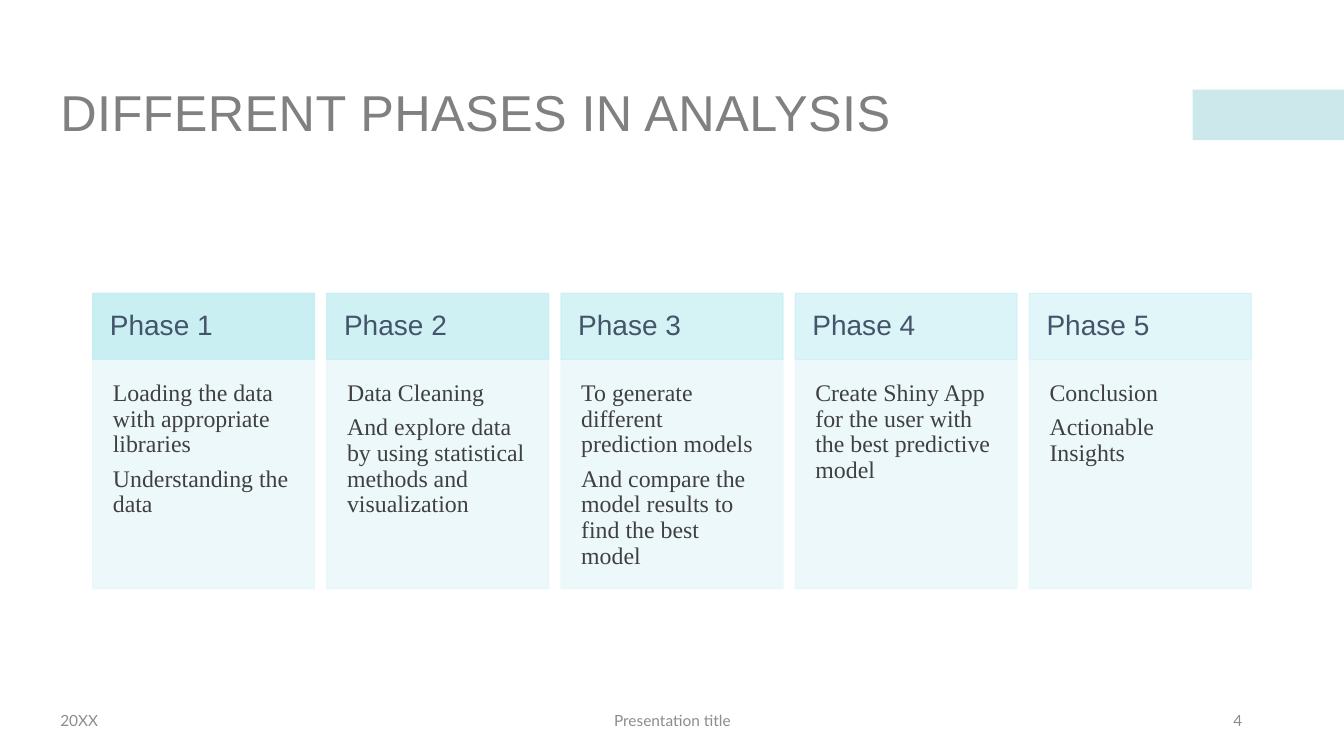
from dataclasses import dataclass

from lxml import etree
from pptx import Presentation
from pptx import util as u
from pptx.dml.color import RGBColor
from pptx.enum import shapes, text
from pptx.oxml.ns import qn

WIDTH, HEIGHT = 13.33, 7.5
GRID_LEFT, COL_PITCH, COL_WIDTH = 0.92, 2.3225, 2.2
HEAD_TOP, HEAD_HEIGHT = 2.91, 0.66
BODY_TOP, BODY_HEIGHT = 3.58, 2.26
FOOT_TOP, FOOT_HEIGHT = 6.95, 0.4
LEFT, CENTER, RIGHT = text.PP_ALIGN.LEFT, text.PP_ALIGN.CENTER, text.PP_ALIGN.RIGHT
TOP, MIDDLE = text.MSO_ANCHOR.TOP, text.MSO_ANCHOR.MIDDLE


@dataclass(frozen=True)
class Box:
    """A rectangle in inches."""
    left: float
    top: float
    width: float
    height: float


@dataclass(frozen=True)
class Style:
    """The look of a block of text."""
    font: str
    size: int
    color: str
    align: text.PP_ALIGN = LEFT
    anchor: text.MSO_ANCHOR = MIDDLE
    inset_x: float = 0.1
    inset_y: float = 0.05
    line: float = 1.0
    after: float = 0
    tracking: int = 0


@dataclass(frozen=True)
class Phase:
    """One column: its heading and its steps."""
    name: str
    steps: tuple[str, ...]


@dataclass(frozen=True)
class Footer:
    """One footer entry."""
    label: str
    left: float
    width: float
    align: text.PP_ALIGN


TITLE = Style("Arial", 36, "808080", line=0.9, tracking=30)
HEAD = Style("Arial", 20, "44546A", inset_x=0.17, inset_y=0.17, line=0.9, after=7)
BODY = Style("Times New Roman", 17, "404040", anchor=TOP,
             inset_x=0.2, inset_y=0.2, line=0.9, after=6)

PHASES = (
    Phase("Phase 1", ("Loading the data with appropriate libraries",
                      "Understanding the data")),
    Phase("Phase 2", ("Data Cleaning",
                      "And explore data by using statistical methods and visualization")),
    Phase("Phase 3", ("To generate different prediction models",
                      "And compare the model results to find the best model")),
    Phase("Phase 4", ("Create Shiny App for the user with the best predictive model",)),
    Phase("Phase 5", ("Conclusion", "Actionable Insights")),
)
FOOTERS = (
    Footer("20XX", 0.5, 3, LEFT),
    Footer("Presentation title", 4.42, 4.5, CENTER),
    Footer("4", 9.42, 3, RIGHT),
)


def rgb(value: str) -> RGBColor:
    """Turn a hex string into a colour."""
    return RGBColor.from_string(value)


def place(box: Box) -> tuple[u.Length, ...]:
    """Give a box as slide lengths."""
    return tuple(u.Inches(v) for v in (box.left, box.top, box.width, box.height))


def write(sp, lines: tuple[str, ...], style: Style) -> None:
    """Fill a shape with styled paragraphs."""
    tf = sp.text_frame
    frame = {
        "word_wrap": True,
        "vertical_anchor": style.anchor,
        "margin_left": u.Inches(style.inset_x),
        "margin_right": u.Inches(style.inset_x),
        "margin_top": u.Inches(style.inset_y),
        "margin_bottom": u.Inches(style.inset_y),
    }
    for name, value in frame.items():
        setattr(tf, name, value)
    for i, line in enumerate(lines):
        p = tf.add_paragraph() if i else tf.paragraphs[0]
        para = {"alignment": style.align, "line_spacing": style.line,
                "space_after": u.Pt(style.after)}
        for name, value in para.items():
            setattr(p, name, value)
        r = p.add_run()
        r.text = line
        for name, value in {"name": style.font, "size": u.Pt(style.size)}.items():
            setattr(r.font, name, value)
        r.font.color.rgb = rgb(style.color)
        if style.tracking:
            r.font._element.set("spc", str(style.tracking))


def add_text(s, box: Box, label: str, style: Style) -> None:
    """Add a one-paragraph text box."""
    write(s.shapes.add_textbox(*place(box)), (label,), style)


def add_panel(s, box: Box, color: str, opacity: int, outlined: bool = True):
    """Add a translucent rectangle, with a matching outline if wanted."""
    sp = s.shapes.add_shape(shapes.MSO_SHAPE.RECTANGLE, *place(box))
    sp.shadow.inherit = False
    sp.fill.solid()
    sp.fill.fore_color.rgb = rgb(color)
    if outlined:
        sp.line.color.rgb = rgb(color)
        sp.line.width = u.Pt(1)
    else:
        sp.line.fill.background()
    for clr in sp._element.spPr.iter(qn("a:srgbClr")):
        etree.SubElement(clr, qn("a:alpha"), val=str(opacity * 1000))
    return sp


def add_phase(s, column: int, phase: Phase) -> None:
    """Add a phase column, its heading paler with each step to the right."""
    left = GRID_LEFT + column * COL_PITCH
    head = Box(left, HEAD_TOP, COL_WIDTH, HEAD_HEIGHT)
    body = Box(left, BODY_TOP, COL_WIDTH, BODY_HEIGHT)
    write(add_panel(s, head, "C4EEF2", 90 - 10 * column), (phase.name,), HEAD)
    write(add_panel(s, body, "EAF8FA", 90), phase.steps, BODY)


def main() -> None:
    """Build and save the slide."""
    prs = Presentation()
    prs.slide_width, prs.slide_height = u.Inches(WIDTH), u.Inches(HEIGHT)
    s = prs.slides.add_slide(prs.slide_layouts[6])
    add_panel(s, Box(WIDTH - 1.5, 0.89, 1.5, 0.5), "9CD3D9", 50, outlined=False)
    add_text(s, Box(0.5, 0.42, 12.33, 1.45), "DIFFERENT PHASES IN ANALYSIS", TITLE)
    for f in FOOTERS:
        add_text(s, Box(f.left, FOOT_TOP, f.width, FOOT_HEIGHT), f.label,
                 Style("Lato", 11, "8C8C8C", f.align))
    for column, phase in enumerate(PHASES):
        add_phase(s, column, phase)
    prs.save("out.pptx")


if __name__ == "__main__":
    main()
